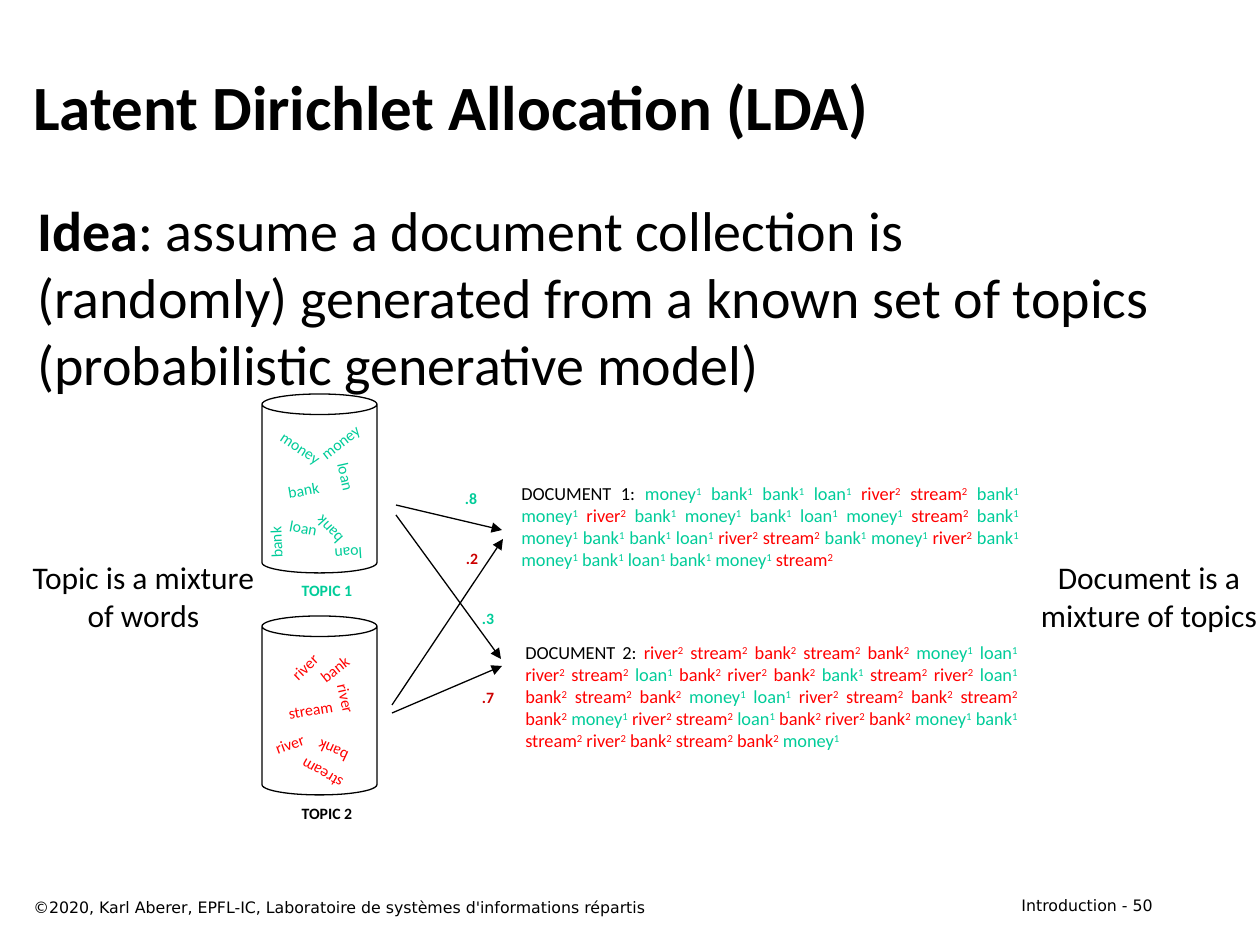
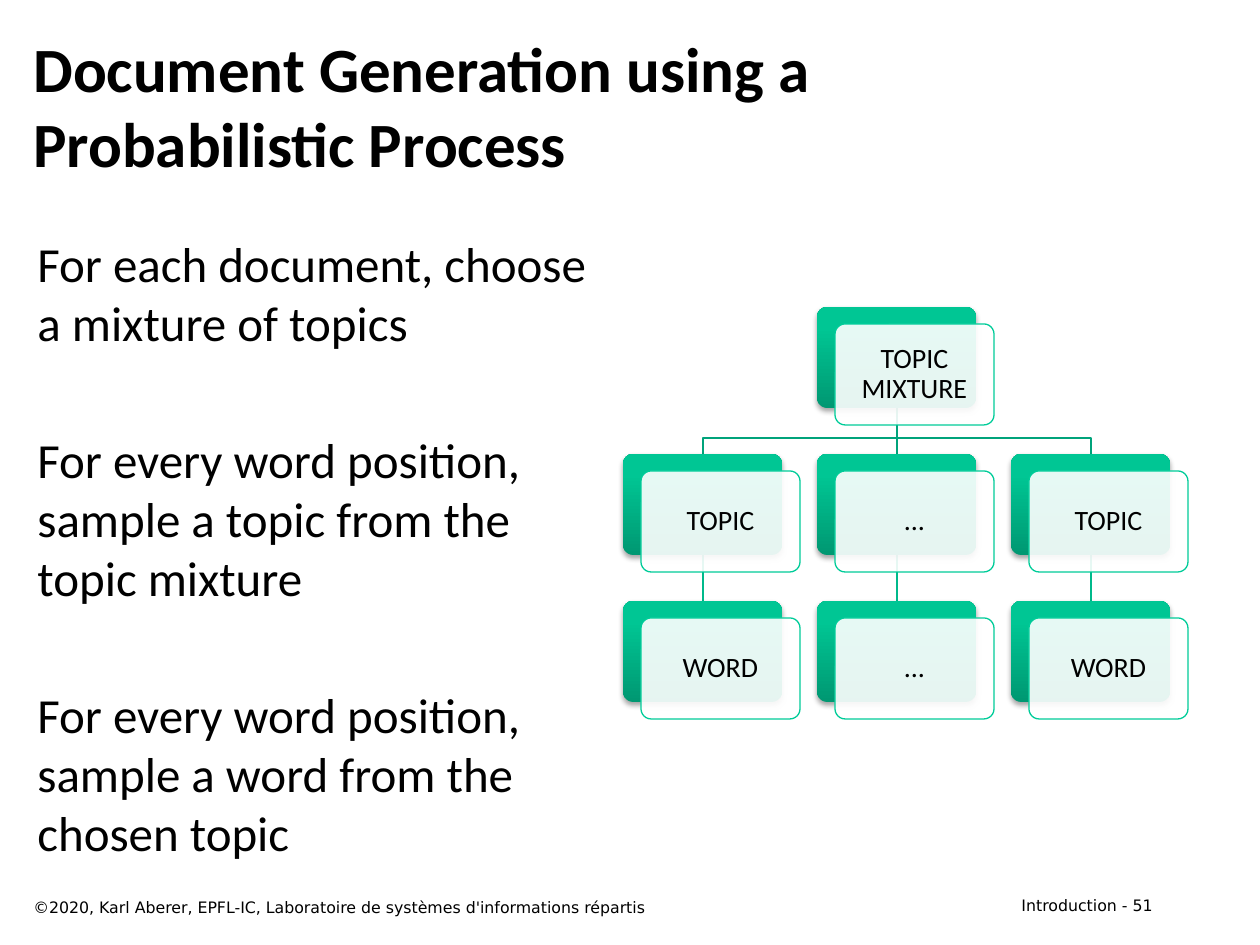
import lxml.etree
import pptx
import pptx.dml.color
import pptx.enum.dml
import pptx.enum.shapes
import pptx.enum.text
import pptx.oxml
import pptx.oxml.ns
import pptx.util

RGBColor = pptx.dml.color.RGBColor
SHAPE = pptx.enum.shapes.MSO_SHAPE
ALIGN = pptx.enum.text.PP_ALIGN
ANCHOR = pptx.enum.text.MSO_ANCHOR

BLACK = RGBColor(0x00, 0x00, 0x00)
WHITE = RGBColor(0xFF, 0xFF, 0xFF)
GREEN = RGBColor(0x00, 0xCC, 0x99)
RED = RGBColor(0xFF, 0x00, 0x00)
DARK_RED = RGBColor(0xCC, 0x00, 0x00)
CARD_TOP = RGBColor(0x00, 0xC6, 0x94)
CARD_BOTTOM = RGBColor(0x00, 0x98, 0x72)
UPPER_LINK = RGBColor(0x00, 0xA3, 0x7B)
LOWER_LINK = RGBColor(0x00, 0xB9, 0x8B)

FONT = "Calibri"
FOOTER_FONT = "DejaVu Sans"
FOOTER = "©2020, Karl Aberer, EPFL-IC, Laboratoire de systèmes d'informations répartis"
SCALE = 914400 / 126
TOPIC_COLORS = {"1": GREEN, "2": RED}
WORD_WIDTHS = {"money": 72, "loan": 55, "bank": 57, "river": 55, "stream": 71}
WORD_HEIGHT = 31

# Word, left and top within the cylinder, rotation
TOPIC_1_WORDS = [
    ("loan", 57, 67, 77.2), ("money", 3, 38, 33.9), ("loan", 14, 118, 10.8),
    ("bank", 13, 80, 350.3), ("money", 42, 32, 321.9), ("bank", -15, 133, 267.8),
    ("bank", 38, 121, 227.4), ("loan", 59, 145, 176.2),
]
TOPIC_2_WORDS = [
    ("river", 57, 67, 77.2), ("river", 15, 35, 315.8), ("river", 0, 112, 340),
    ("stream", 13, 78, 350.3), ("bank", 44, 37, 321.9), ("bank", 42, 120, 205),
    ("stream", 24, 143, 209.7),
]

# The digit after each word is the topic it was drawn from
DOCUMENT_1 = (
    "money1 bank1 bank1 loan1 river2 stream2 bank1 money1 river2 bank1 money1 bank1 "
    "loan1 money1 stream2 bank1 money1 bank1 bank1 loan1 river2 stream2 bank1 money1 "
    "river2 bank1 money1 bank1 loan1 bank1 money1 stream2"
)
DOCUMENT_2 = (
    "river2 stream2 bank2 stream2 bank2 money1 loan1 river2 stream2 loan1 bank2 river2 "
    "bank2 bank1 stream2 river2 loan1 bank2 stream2 bank2 money1 loan1 river2 stream2 "
    "bank2 stream2 bank2 money1 river2 stream2 loan1 bank2 river2 bank2 money1 bank1 "
    "stream2 river2 bank2 stream2 bank2 money1"
)


def px(length):
    return pptx.util.Emu(round(length * SCALE))


def pixels(*lengths):
    return [px(length) for length in lengths]


def add_text(slide, box, paragraphs, size=9, font=FONT, color=BLACK, bold=False,
             align=ALIGN.LEFT, anchor=ANCHOR.TOP, wrap=True, rotation=0, inset=None,
             space_before=0, line_spacing=None):
    """Each paragraph is a string or a list of (text, format) runs."""
    shape = slide.shapes.add_textbox(*pixels(*box))
    shape.rotation = rotation
    frame = shape.text_frame
    frame.word_wrap = wrap
    frame.vertical_anchor = anchor
    if inset is not None:
        frame.margin_left = frame.margin_right = px(inset)
        frame.margin_top = frame.margin_bottom = px(inset)
    if isinstance(paragraphs, str):
        paragraphs = [paragraphs]
    for index, content in enumerate(paragraphs):
        paragraph = frame.add_paragraph() if index else frame.paragraphs[0]
        paragraph.alignment = align
        if index:
            paragraph.space_before = pptx.util.Pt(space_before)
        if line_spacing:
            paragraph.line_spacing = line_spacing
        paragraph.font.size = pptx.util.Pt(size)
        runs = [(content, {})] if isinstance(content, str) else content
        for text, style in runs:
            for part_index, part in enumerate(text.split("\n")):
                if part_index:
                    paragraph.add_line_break()
                run = paragraph.add_run()
                run.text = part
                run.font.name = font
                run.font.size = pptx.util.Pt(size)
                run.font.bold = style.get("bold", bold)
                run.font.color.rgb = style.get("color", color)
                if style.get("superscript"):
                    run.font._element.set("baseline", "30000")
    return shape


def add_line(slide, start, end, color=BLACK, arrow=False):
    connector = slide.shapes.add_connector(
        pptx.enum.shapes.MSO_CONNECTOR.STRAIGHT, *pixels(*start, *end))
    connector.line.width = pptx.util.Pt(0.75)
    connector.line.color.rgb = color
    properties = connector._element.spPr
    if arrow:
        tail = lxml.etree.SubElement(connector.line._get_or_add_ln(),
                                     pptx.oxml.ns.qn("a:tailEnd"))
        tail.set("type", "triangle")
    lxml.etree.SubElement(properties, pptx.oxml.ns.qn("a:effectLst"))


def add_frame(slide, title, number):
    """Title and footers shared by every slide."""
    add_text(slide, (903, 890, 262, 32), f"Introduction - {number}",
             font=FOOTER_FONT, align=ALIGN.RIGHT)
    add_text(slide, (21, 42, 1144, 126), title, size=36, bold=True, anchor=ANCHOR.MIDDLE)
    add_text(slide, (21, 892, 809, 32), FOOTER, font=FOOTER_FONT)


def add_topic(slide, left, top, label, words, word_color, label_color):
    """Cylinder filled with scattered words, and its label below."""
    width, height = 115, 179
    cylinder = slide.shapes.add_shape(SHAPE.CAN, *pixels(left, top, width, height))
    cylinder.adjustments[0] = 0.179
    cylinder.shadow.inherit = False
    cylinder.fill.background()
    cylinder.line.color.rgb = BLACK
    cylinder.line.width = pptx.util.Pt(0.75)
    for word, x, y, rotation in words:
        add_text(slide, (left + x, top + y, WORD_WIDTHS[word], WORD_HEIGHT), word,
                 color=word_color, align=ALIGN.CENTER, wrap=False, rotation=rotation)
    add_text(slide, (left + 22, top + height + 2, 86, WORD_HEIGHT), label,
             color=label_color, bold=True, align=ALIGN.CENTER)


def add_document(slide, box, label, tokens):
    """Justified words, each coloured and numbered by its topic."""
    runs = [(label, {})]
    for token in tokens.split():
        word, topic = token[:-1], token[-1]
        color = TOPIC_COLORS[topic]
        runs += [(" " + word, {"color": color}),
                 (topic, {"color": color, "superscript": True})]
    add_text(slide, box, [runs], size=10.5, align=ALIGN.JUSTIFY)


def add_mixture_arrows(slide, left, top):
    """Arrows from topics to documents with their weights."""
    for start, end in [((5, 12), (110, 156)), ((5, 2), (111, 27)),
                       ((1, 202), (112, 36)), ((1, 210), (111, 163))]:
        add_line(slide, (left + start[0], top + start[1]),
                 (left + end[0], top + end[1]), arrow=True)
    for text, x, y, color in [(".8", 59, -20, GREEN), (".2", 60, 40, DARK_RED),
                              (".3", 76, 100, GREEN), (".7", 76, 179, DARK_RED)]:
        add_text(slide, (left + x, top + y, 42, WORD_HEIGHT), text, color=color,
                 bold=True, align=ALIGN.CENTER)


def build_allocation_slide(slide):
    add_frame(slide, "Latent Dirichlet Allocation (LDA)", 50)
    idea = [("Idea", {"bold": True}),
            (": assume a document collection is (randomly) generated from a known set "
             "of topics (probabilistic generative model)", {})]
    add_text(slide, (25, 189, 1144, 220), [idea], size=32)
    add_topic(slide, 262, 394, "TOPIC 1", TOPIC_1_WORDS, GREEN, GREEN)
    add_topic(slide, 262, 616, "TOPIC 2", TOPIC_2_WORDS, RED, BLACK)
    add_document(slide, (509, 476, 522, 123), "DOCUMENT 1:", DOCUMENT_1)
    add_document(slide, (513, 635, 517, 158), "DOCUMENT 2:", DOCUMENT_2)
    add_mixture_arrows(slide, 391, 503)
    # Side remarks
    for left, width, text in [(19, 249, "Topic is a mixture\nof words"),
                              (1027, 244, "Document is a\nmixture of topics")]:
        add_text(slide, (left, 552, width, 89), text, size=18,
                 align=ALIGN.CENTER, wrap=False)


def add_card(slide, left, top, text):
    """Shaded back plate with a translucent labelled plate in front."""
    width, height = 159, 101
    front_left, front_top = left + 18, top + 17
    back, front = [
        slide.shapes.add_shape(SHAPE.ROUNDED_RECTANGLE, *pixels(x, y, width, height))
        for x, y in [(left, top), (front_left, front_top)]]
    for plate in (back, front):
        plate.adjustments[0] = 0.1
        plate.shadow.inherit = False

    back.line.fill.background()
    back.fill.gradient()
    back.fill.gradient_angle = 90
    for stop, color, position in zip(back.fill.gradient_stops,
                                     (CARD_BOTTOM, CARD_TOP), (0, 0.8)):
        stop.color.rgb = color
        stop.position = position
    effects = back._element.spPr.find(pptx.oxml.ns.qn("a:effectLst"))
    effects.append(pptx.oxml.parse_xml(
        f'<a:outerShdw {pptx.oxml.ns.nsdecls("a")} blurRad="39400" dist="22900" '
        'dir="5400000" rotWithShape="0"><a:srgbClr val="000000">'
        '<a:alpha val="35000"/></a:srgbClr></a:outerShdw>'))

    front.fill.solid()
    front.fill.fore_color.rgb = WHITE
    color_element = front._element.spPr.find(".//" + pptx.oxml.ns.qn("a:srgbClr"))
    lxml.etree.SubElement(color_element, pptx.oxml.ns.qn("a:alpha")).set("val", "90000")
    front.line.color.rgb = GREEN
    front.line.width = pptx.util.Pt(0.75)
    add_text(slide, (front_left + 3, front_top + 3, width - 6, height - 6), text, size=16,
             align=ALIGN.CENTER, anchor=ANCHOR.MIDDLE, inset=9, line_spacing=0.9)


def add_elbow(slide, points):
    builder = slide.shapes.build_freeform(*points[0], scale=SCALE)
    builder.add_line_segments(points[1:], close=False)
    elbow = builder.convert_to_shape()
    elbow.shadow.inherit = False
    elbow.fill.background()
    elbow.line.color.rgb = UPPER_LINK
    elbow.line.width = pptx.util.Pt(0.75)


def add_hierarchy(slide, left, top):
    """Topic mixture above three topics, each above its word."""
    columns = [left + 194 * column for column in range(3)]
    rows = [top + 147 * row for row in range(3)]
    card_height, center = 101, 80
    root_x, root_y = columns[1] + center, rows[0] + card_height
    # Links behind the cards
    for column in columns:
        x = column + center
        add_line(slide, (x, rows[1] + card_height), (x, rows[2]), color=LOWER_LINK)
        if x == root_x:
            add_line(slide, (x, root_y), (x, rows[1]), color=UPPER_LINK)
        else:
            bend = root_y + 30
            add_elbow(slide, [(root_x, root_y), (root_x, bend), (x, bend), (x, rows[1])])
    # Cards
    add_card(slide, columns[1], rows[0], "TOPIC MIXTURE")
    for column, topic, word in zip(columns, ("TOPIC", "...", "TOPIC"),
                                   ("WORD", "...", "WORD")):
        add_card(slide, column, rows[1], topic)
        add_card(slide, column, rows[2], word)


def build_process_slide(slide):
    add_frame(slide, "Document Generation using a\nProbabilistic Process", 51)
    steps = ["For each document, choose\na mixture of topics",
             "For every word position,\nsample a topic from the\ntopic mixture",
             "For every word position,\nsample a word from the\nchosen topic"]
    add_text(slide, (25, 227, 600, 651), steps, size=28, space_before=45)
    add_hierarchy(slide, 623, 307)


def main():
    presentation = pptx.Presentation()
    presentation.slide_width, presentation.slide_height = pixels(1260, 945)
    blank = presentation.slide_layouts[6]
    for build in (build_allocation_slide, build_process_slide):
        build(presentation.slides.add_slide(blank))
    presentation.save("out.pptx")


if __name__ == "__main__":
    main()
